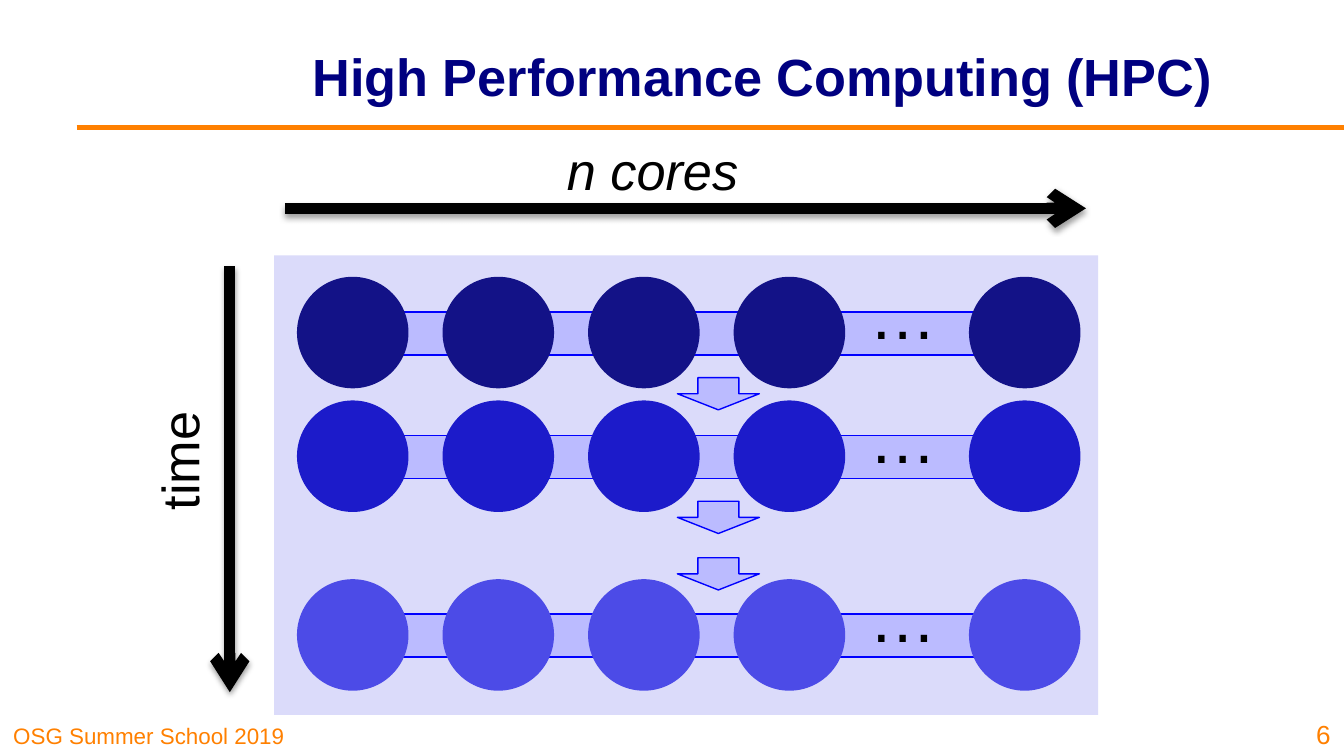
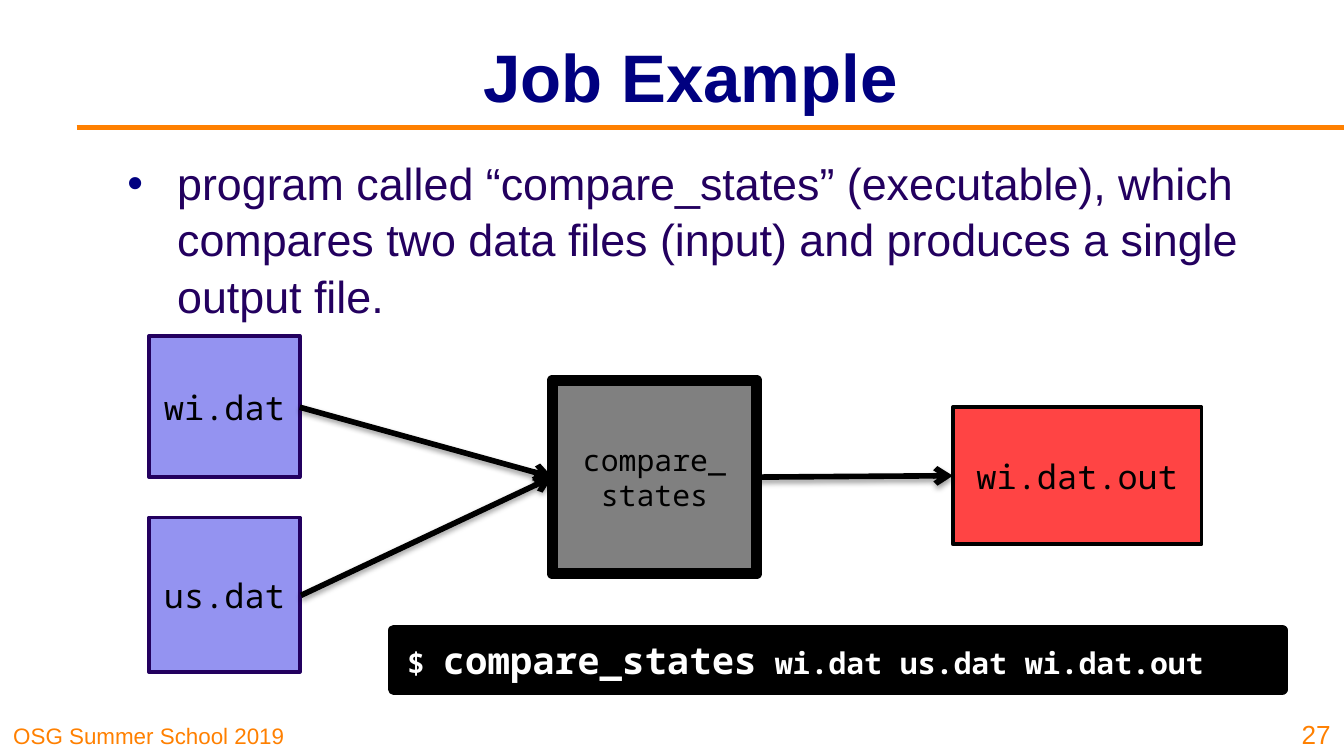
from dataclasses import dataclass
from typing import NamedTuple

from lxml import etree
from pptx import Presentation
from pptx.dml.color import RGBColor
from pptx.enum.shapes import MSO_CONNECTOR, MSO_SHAPE
from pptx.enum.text import MSO_ANCHOR, MSO_AUTO_SIZE, PP_ALIGN
from pptx.oxml.ns import qn
from pptx.util import Emu, Inches, Pt

LEFT, CENTER, RIGHT = PP_ALIGN.LEFT, PP_ALIGN.CENTER, PP_ALIGN.RIGHT
TOP, MIDDLE, BOTTOM = MSO_ANCHOR.TOP, MSO_ANCHOR.MIDDLE, MSO_ANCHOR.BOTTOM
FIT, NO_FIT = MSO_AUTO_SIZE.SHAPE_TO_FIT_TEXT, MSO_AUTO_SIZE.NONE
RECT, ROUND_RECT = MSO_SHAPE.RECTANGLE, MSO_SHAPE.ROUNDED_RECTANGLE
OVAL, DOWN_ARROW = MSO_SHAPE.OVAL, MSO_SHAPE.DOWN_ARROW
STRAIGHT = MSO_CONNECTOR.STRAIGHT

WIDTH, HEIGHT = Inches(10), Inches(5.625)
COLUMNS, ROWS = 100, 56.25


@dataclass(frozen=True)
class Theme:
    sans: str = "Arial"
    mono: str = "Noto Sans Mono"
    navy: str = "000080"
    orange: str = "FF8000"
    black: str = "000000"
    white: str = "FFFFFF"
    panel: str = "DBDBFA"
    link: str = "BBBBFF"
    link_edge: str = "0000FF"
    ink: str = "23005F"
    data: str = "9493F1"
    program: str = "808080"
    result: str = "FF4444"
    footer: int = 12
    number: int = 14
    small_code: int = 16
    code: int = 18
    big_code: int = 20
    body: int = 24
    label: int = 28
    title: int = 36
    dots: int = 36
    thin: float = 0.75
    edge: float = 1
    border: float = 2
    rule: float = 3
    heavy: float = 6


T = Theme()


class Box(NamedTuple):
    x: float
    y: float
    w: float
    h: float


class Point(NamedTuple):
    x: float
    y: float


class Span(NamedTuple):
    text: str
    size: int


class CoreRow(NamedTuple):
    top: float
    colour: str
    arrow_offset: float


class Node(NamedTuple):
    box: Box
    text: str
    fill: str
    edge: str
    weight: float
    size: int


CORE = 8.3
CORE_STEP = 10.83
CORE_LEFTS = [22.1 + CORE_STEP * i for i in range(4)] + [72.1]
CORE_ROWS = [
    CoreRow(20.6, "131287", 7.5),
    CoreRow(29.8, "1C1BCA", 7.5),
    CoreRow(43.1, "4C4BE7", -1.6),
]

NODES = [
    Node(Box(11.1, 25, 11.2, 10.5), "wi.dat", T.data, T.ink, T.border, T.code),
    Node(Box(41.1, 28.3, 15.2, 14.4), "compare_\nstates", T.program, T.black, T.heavy, T.small_code),
    Node(Box(11.1, 38.5, 11.2, 11.5), "us.dat", T.data, T.ink, T.border, T.code),
    Node(Box(70.9, 30.3, 18.5, 10.2), "wi.dat.out", T.result, T.black, T.border, T.code),
]
FLOWS = [
    (Point(22.4, 44.3), Point(41.1, 35.5)),
    (Point(56.3, 35.5), Point(70.9, 35.4)),
    (Point(22.3, 30.3), Point(41.1, 35.5)),
]


def across(n: float) -> Emu:
    return Emu(round(WIDTH * n / COLUMNS))


def down(n: float) -> Emu:
    return Emu(round(HEIGHT * n / ROWS))


def place(box: Box) -> tuple:
    return across(box.x), down(box.y), across(box.w), down(box.h)


def rgb(colour: str) -> RGBColor:
    return RGBColor.from_string(colour)


def write(sp, text: str | list[Span], *, size: int = T.label, font: str = T.sans,
          colour: str = T.black, bold: bool = False, italic: bool = False,
          align=LEFT, anchor=TOP, wrap: bool = True, grow: bool = False,
          bullet: str = "", spacing: float = 1):
    tf = sp.text_frame
    tf.word_wrap = wrap
    tf.auto_size = FIT if grow else NO_FIT
    tf.vertical_anchor = anchor
    lines = [[Span(s, size)] for s in text.split("\n")] if isinstance(text, str) else [text]
    for i, spans in enumerate(lines):
        p = tf.add_paragraph() if i else tf.paragraphs[0]
        if bullet:
            add_bullet(p, bullet)
        p.alignment = align
        p.line_spacing = spacing
        for span in spans:
            r = p.add_run()
            r.text = span.text
            r.font.name, r.font.size = font, Pt(span.size)
            r.font.bold, r.font.italic = bold, italic
            r.font.color.rgb = rgb(colour)
    return sp


def add_bullet(p, colour: str) -> None:
    pPr = p._p.get_or_add_pPr()
    indent = across(3.7)
    pPr.set("marL", str(indent))
    pPr.set("indent", str(-indent))
    buClr = etree.SubElement(pPr, qn("a:buClr"))
    etree.SubElement(buClr, qn("a:srgbClr"), val=colour)
    etree.SubElement(pPr, qn("a:buFont"), typeface=T.sans)
    etree.SubElement(pPr, qn("a:buChar"), char="•")


def text_box(s, box: Box, text: str, **style):
    return write(s.shapes.add_textbox(*place(box)), text, **style)


def shape(s, kind, box: Box, fill: str, edge: str = "", weight: float = T.edge):
    sp = s.shapes.add_shape(kind, *place(box))
    sp.shadow.inherit = False
    sp.fill.solid()
    sp.fill.fore_color.rgb = rgb(fill)
    if edge:
        sp.line.color.rgb = rgb(edge)
        sp.line.width = Pt(weight)
    else:
        sp.line.fill.background()
    return sp


def line(s, start: Point, end: Point, colour: str, weight: float, arrow: bool = False) -> None:
    cx = s.shapes.add_connector(STRAIGHT, across(start.x), down(start.y), across(end.x), down(end.y))
    cx.line.color.rgb = rgb(colour)
    cx.line.width = Pt(weight)
    spPr = cx._element.spPr
    effects = etree.SubElement(spPr, qn("a:effectLst"))
    if arrow:
        etree.SubElement(spPr.find(qn("a:ln")), qn("a:tailEnd"), type="arrow")
        shadow = etree.SubElement(effects, qn("a:outerShdw"), blurRad=str(Pt(3.1)),
                                  dist=str(Pt(1.6)), dir="5400000", rotWithShape="0")
        tint = etree.SubElement(shadow, qn("a:srgbClr"), val=T.black)
        etree.SubElement(tint, qn("a:alpha"), val="38000")


def base_slide(prs, title: str, number: int, title_width: float, title_size: int):
    s = prs.slides.add_slide(prs.slide_layouts[6])
    s.background.fill.solid()
    s.background.fill.fore_color.rgb = rgb(T.white)
    text_box(s, Box(0, 53.1, 24.8, 3.1), "OSG Summer School 2019",
             size=T.footer, colour=T.orange, anchor=BOTTOM)
    line(s, Point(5.7, 9.5), Point(100, 9.5), T.orange, T.rule)
    text_box(s, Box(13.4, 0.9, title_width, 9.4), title, size=title_size,
             colour=T.navy, bold=True, align=CENTER, anchor=MIDDLE)
    text_box(s, Box(95.4, 52.5, 4.6, 3.75), str(number), size=T.number,
             colour=T.orange, align=RIGHT, anchor=BOTTOM)
    return s


def core_row(s, row: CoreRow) -> None:
    shape(s, RECT, Box(27.1, row.top + 2.6, 51.7, 3.2), T.link, T.link_edge)
    for x in CORE_LEFTS:
        shape(s, OVAL, Box(x, row.top, CORE, CORE), row.colour)
    text_box(s, Box(63.7, row.top - 0.8, 7.1, 7.1), "…", size=T.dots, wrap=False, grow=True)


def hpc_slide(prs) -> None:
    s = base_slide(prs, "High Performance Computing (HPC)", 6, 86.6, T.label)
    panel = shape(s, ROUND_RECT, Box(20.4, 19, 61.3, 34.2), T.panel)
    panel.adjustments[0] = 0
    line(s, Point(17.1, 19.8), Point(17.1, 51.5), T.black, T.heavy, arrow=True)
    text_box(s, Box(5.7, 28.5, 15.2, 5.7), "time", grow=True).rotation = 270
    line(s, Point(21.2, 15.5), Point(80.8, 15.5), T.black, T.heavy, arrow=True)
    text_box(s, Box(41.2, 9.8, 35.8, 5.7), "n cores", italic=True, grow=True)
    for row in CORE_ROWS:
        core_row(s, row)
    for row in CORE_ROWS:
        shape(s, DOWN_ARROW, Box(50.4, row.top + row.arrow_offset, 6.1, 2.4),
              T.link, T.link_edge, T.thin)


def job_slide(prs) -> None:
    s = base_slide(prs, "Job Example", 27, 76, T.title)
    text_box(s, Box(8.5, 10.9, 85, 38.4),
             "program called “compare_states” (executable), which compares two data files "
             "(input) and produces a single output file.",
             size=T.body, colour=T.ink, bullet=T.navy, spacing=1.05)
    for node in NODES:
        sp = shape(s, RECT, node.box, node.fill, node.edge, node.weight)
        write(sp, node.text, size=node.size, font=T.mono, align=CENTER, anchor=MIDDLE)
    for start, end in FLOWS:
        line(s, start, end, T.black, T.rule, arrow=True)
    command = [
        Span("$ ", T.small_code),
        Span("compare_states", T.big_code),
        Span(" wi.dat us.dat wi.dat.out", T.small_code),
    ]
    bar = shape(s, RECT, Box(29.3, 46.9, 66.1, 4.4), T.black, T.black, T.heavy)
    write(bar, command, font=T.mono, colour=T.white, bold=True, grow=True)


def main() -> None:
    prs = Presentation()
    prs.slide_width, prs.slide_height = WIDTH, HEIGHT
    hpc_slide(prs)
    job_slide(prs)
    prs.save("out.pptx")


if __name__ == "__main__":
    main()
